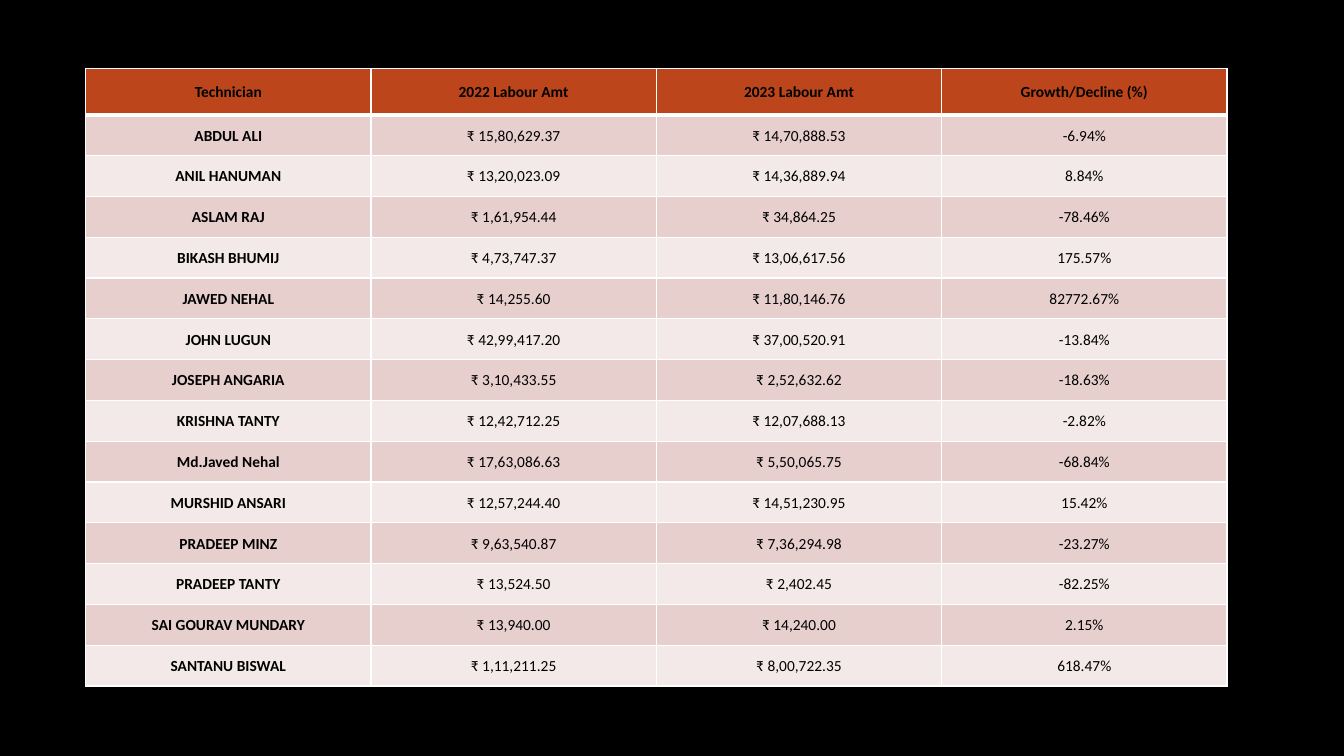
"""Builds a slide comparing technicians' labour amounts in 2022 and 2023."""
from lxml import etree
from pptx import Presentation
from pptx.dml.color import RGBColor
from pptx.enum.text import MSO_ANCHOR, PP_ALIGN
from pptx.oxml.ns import qn
from pptx.util import Inches, Pt

CENTER = PP_ALIGN.CENTER
MIDDLE = MSO_ANCHOR.MIDDLE

HEADINGS = ("Technician", "2022 Labour Amt", "2023 Labour Amt", "Growth/Decline (%)")
TECHNICIANS = [
    ("ABDUL ALI", "₹ 15,80,629.37", "₹ 14,70,888.53", "-6.94%"),
    ("ANIL HANUMAN", "₹ 13,20,023.09", "₹ 14,36,889.94", "8.84%"),
    ("ASLAM RAJ", "₹ 1,61,954.44", "₹ 34,864.25", "-78.46%"),
    ("BIKASH BHUMIJ", "₹ 4,73,747.37", "₹ 13,06,617.56", "175.57%"),
    ("JAWED NEHAL", "₹ 14,255.60", "₹ 11,80,146.76", "82772.67%"),
    ("JOHN LUGUN", "₹ 42,99,417.20", "₹ 37,00,520.91", "-13.84%"),
    ("JOSEPH ANGARIA", "₹ 3,10,433.55", "₹ 2,52,632.62", "-18.63%"),
    ("KRISHNA TANTY", "₹ 12,42,712.25", "₹ 12,07,688.13", "-2.82%"),
    ("Md.Javed Nehal", "₹ 17,63,086.63", "₹ 5,50,065.75", "-68.84%"),
    ("MURSHID ANSARI", "₹ 12,57,244.40", "₹ 14,51,230.95", "15.42%"),
    ("PRADEEP MINZ", "₹ 9,63,540.87", "₹ 7,36,294.98", "-23.27%"),
    ("PRADEEP TANTY", "₹ 13,524.50", "₹ 2,402.45", "-82.25%"),
    ("SAI GOURAV MUNDARY", "₹ 13,940.00", "₹ 14,240.00", "2.15%"),
    ("SANTANU BISWAL", "₹ 1,11,211.25", "₹ 8,00,722.35", "618.47%"),
]


def color(hex_string):
    """Turn a hex string into a colour."""
    return RGBColor.from_string(hex_string)


class LabourSlide:
    """Holds the style and the slide, and draws its elements."""

    font = "Calibri"
    size = 11
    ink = "000000"
    rule = "FFFFFF"
    header_fill = "BC451B"
    bands = ("F3E9E8", "E7CFCD")

    def __init__(self, slide):
        """Keep the slide to draw on."""
        self.slide = slide

    def background(self, fill):
        """Fill the slide background."""
        self.slide.background.fill.solid()
        self.slide.background.fill.fore_color.rgb = color(fill)

    def table(self, records, left, top, width, height, header_height):
        """Draw a table with a header row, a bold first column and bands."""
        row_count, column_count = len(records), len(records[0])
        table = self.slide.shapes.add_table(
            row_count, column_count, Inches(left), Inches(top), Inches(width), Inches(height)
        ).table
        for column in table.columns:
            column.width = Inches(width / column_count)
        body_height = (height - header_height) / (row_count - 1)
        for r, record in enumerate(records):
            table.rows[r].height = Inches(body_height if r else header_height)
            fill = self.bands[r % 2] if r else self.header_fill
            for c, text in enumerate(record):
                cell = table.cell(r, c)
                self.cell(cell, text, fill, bold=r == 0 or c == 0)
                self.borders(cell, top=3 if r == 1 else 1, bottom=1 if r else 3)

    def cell(self, cell, text, fill, bold):
        """Write and format one table cell."""
        cell.fill.solid()
        cell.fill.fore_color.rgb = color(fill)
        cell.vertical_anchor = MIDDLE
        cell.margin_left = cell.margin_top = cell.margin_right = Inches(0.01)
        cell.margin_bottom = 0
        paragraph = cell.text_frame.paragraphs[0]
        paragraph.text = text
        paragraph.alignment = CENTER
        font = paragraph.runs[0].font
        font.name, font.size, font.bold = self.font, Pt(self.size), bold
        font.color.rgb = color(self.ink)

    def borders(self, cell, top, bottom):
        """Rule the four edges of a cell."""
        properties = cell._tc.get_or_add_tcPr()
        edges = (("lnL", 1), ("lnR", 1), ("lnT", top), ("lnB", bottom))
        for position, (edge, points) in enumerate(edges):
            line = etree.Element(qn(f"a:{edge}"), w=str(Pt(points)))
            solid = etree.SubElement(line, qn("a:solidFill"))
            etree.SubElement(solid, qn("a:srgbClr"), val=self.rule)
            properties.insert(position, line)


def main():
    """Build and save the presentation."""
    presentation = Presentation()
    presentation.slide_width = Inches(13.33)
    presentation.slide_height = Inches(7.5)
    blank_layout = presentation.slide_layouts[6]
    labour = LabourSlide(presentation.slides.add_slide(blank_layout))
    labour.background("000000")
    labour.table([HEADINGS, *TECHNICIANS], 0.85, 0.68, 11.32, 6.13, header_height=0.46)
    presentation.save("out.pptx")


if __name__ == "__main__":
    main()
